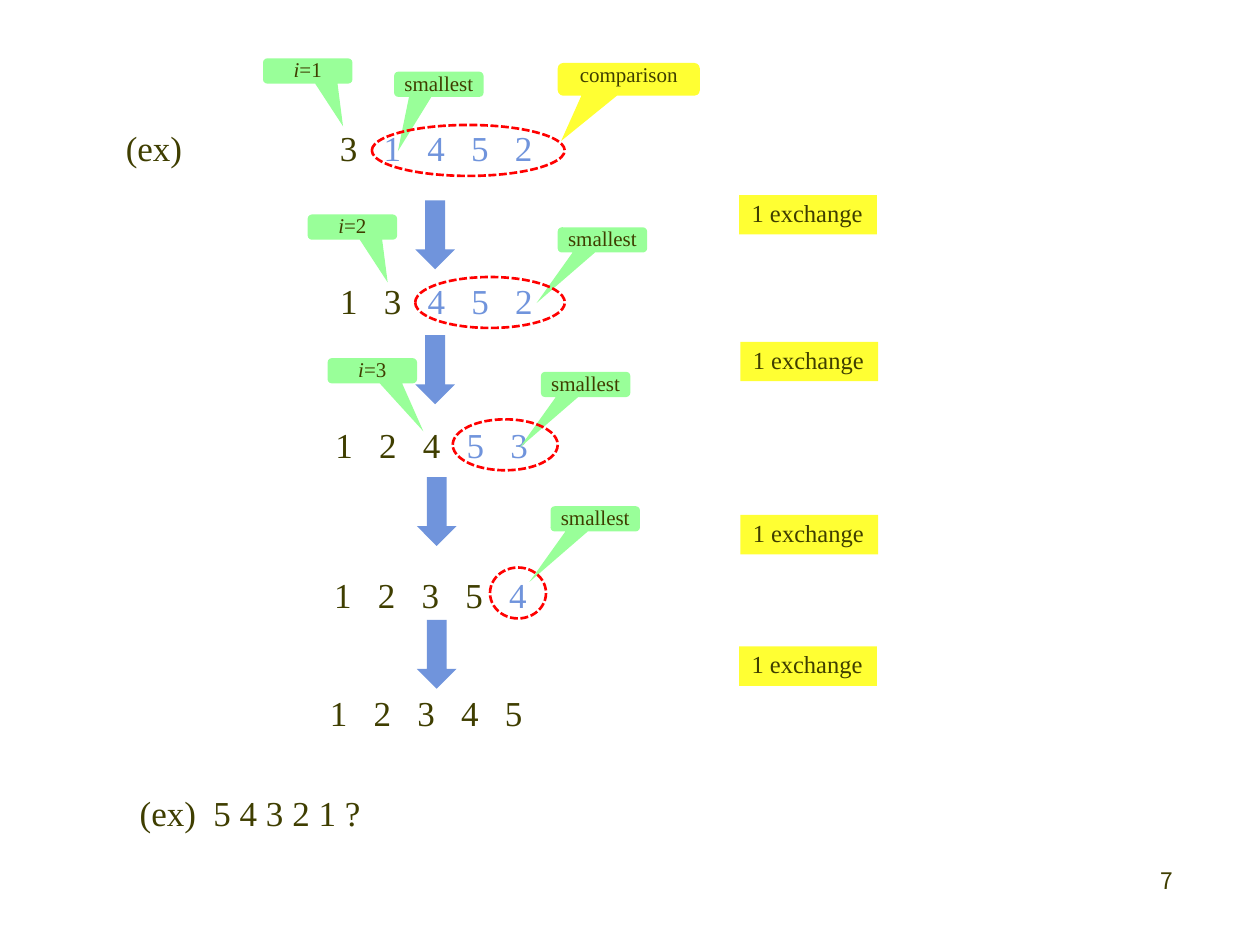
import pptx
import pptx.dml.color
import pptx.enum.dml
import pptx.enum.shapes
import pptx.enum.text
import pptx.oxml.ns
import pptx.util
from lxml import etree

Pt = pptx.util.Pt
RGBColor = pptx.dml.color.RGBColor
SHAPE = pptx.enum.shapes.MSO_SHAPE
ALIGN = pptx.enum.text.PP_ALIGN

INK = RGBColor(0x3F, 0x3E, 0x00)
BLUE = RGBColor(0x70, 0x94, 0xDC)
GREEN = RGBColor(0x99, 0xFF, 0x99)
YELLOW = RGBColor(0xFF, 0xFF, 0x33)
RED = RGBColor(0xFF, 0x00, 0x00)
SERIF = "Times New Roman"
DIGIT_PITCH = 25

deck = pptx.Presentation()
deck.slide_width, deck.slide_height = Pt(720), Pt(540)
page = deck.slides.add_slide(deck.slide_layouts[6])


def write(box, text, tail="", size=20, font=SERIF, tail_color=INK, italic=False,
          align=ALIGN.LEFT, spacing=0.9, inset=None, wrap=True, tabs=()):
    """Fill the box with one paragraph; italic covers text only, not its tail."""
    frame = box.text_frame
    frame.word_wrap = wrap
    frame.vertical_anchor = pptx.enum.text.MSO_ANCHOR.TOP
    if inset is not None:
        frame.margin_left = frame.margin_right = Pt(inset)
        frame.margin_top = frame.margin_bottom = Pt(inset)
    para = frame.paragraphs[0]
    if tabs:
        qn = pptx.oxml.ns.qn
        stops = etree.SubElement(para._p.get_or_add_pPr(), qn("a:tabLst"))
        for stop in tabs:
            etree.SubElement(stops, qn("a:tab"), pos=str(Pt(stop)), algn="l")
    para.alignment = align
    para.line_spacing = spacing
    for words, color, slanted in ((text, INK, italic), (tail, tail_color, False)):
        if words:
            span = para.add_run()
            span.text = words
            span.font.name = font
            span.font.size = Pt(size)
            span.font.color.rgb = color
            span.font.italic = slanted


def add_filled(kind, left, top, width, height, fill=None):
    shape = page.shapes.add_shape(kind, Pt(left), Pt(top), Pt(width), Pt(height))
    shape.shadow.inherit = False
    shape.line.fill.background()
    if fill is None:
        shape.fill.background()
    else:
        shape.fill.solid()
        shape.fill.fore_color.rgb = fill
    return shape


# Slide number
number = page.shapes.add_textbox(Pt(527.8), Pt(491.8), Pt(149.8), Pt(36))
write(number, "7", size=13, font="Noto Sans CJK KR", align=ALIGN.RIGHT, spacing=1.0)

# Array after each step: sorted digits in ink, unsorted digits in blue
digit_stops = [DIGIT_PITCH * n for n in range(1, 5)]
for left, top, done, rest in (
    (187.2, 159.1, "13", "452"),
    (184.6, 241.2, "124", "53"),
    (183.8, 326.9, "1235", "4"),
    (181.4, 394.6, "12345", ""),
):
    box = page.shapes.add_textbox(Pt(left), Pt(top), Pt(135), Pt(28.8))
    gap = "\t" if rest else ""
    write(box, "\t".join(done) + gap, "\t".join(rest), tail_color=BLUE, tabs=digit_stops)

# Example lines
first = page.shapes.add_textbox(Pt(64.8), Pt(71.3), Pt(254.2), Pt(28.8))
write(first, "(ex)\t3\t", "\t".join("1452"), tail_color=BLUE,
      tabs=[122.4 + DIGIT_PITCH * n for n in range(5)])
question = page.shapes.add_textbox(Pt(72.7), Pt(451.4), Pt(150), Pt(28.8))
write(question, "(ex)\t5 4 3 2 1 ?", tabs=[42.2])

# Callouts: left, top, width, height, fill, pointer, text, tail
for left, top, width, height, fill, pointer, text, tail in (
    (225.2, 41, 51.1, 14.4, GREEN, (-0.458, 2.661), "smallest", ""),
    (150.3, 33.4, 51.1, 14.4, GREEN, (0.395, 2.195), "i", "=1"),
    (318.7, 129.9, 51.1, 14.4, GREEN, (-0.737, 2.506), "smallest", ""),
    (175.8, 122.6, 51.1, 14.4, GREEN, (0.395, 2.195), "i", "=2"),
    (309.1, 212.5, 51.1, 14.4, GREEN, (-0.737, 2.506), "smallest", ""),
    (187.2, 204.7, 51.1, 14.4, GREEN, (0.571, 2.402), "i", "=3"),
    (314.6, 289.3, 51.1, 14.4, GREEN, (-0.737, 2.506), "smallest", ""),
    (318.7, 36, 81.2, 18.7, YELLOW, (-0.476, 1.884), "comparison", ""),
):
    callout = add_filled(SHAPE.ROUNDED_RECTANGULAR_CALLOUT, left, top, width, height, fill)
    callout.adjustments[0], callout.adjustments[1] = pointer
    write(callout, text, tail, size=12, italic=bool(tail), align=ALIGN.CENTER, inset=0)

# Exchange counts
for left, top in ((422.4, 111.5), (423.1, 195.4), (423.1, 294.3), (422.4, 369.4)):
    label = add_filled(SHAPE.RECTANGLE, left, top, 78.7, 22.5, YELLOW)
    write(label, "1 exchange", size=14, wrap=False)

# Arrows between steps
for left, top in ((237.3, 114.5), (237.3, 191.6), (238.2, 272.6), (238.2, 354.2)):
    add_filled(SHAPE.DOWN_ARROW, left, top, 22.7, 39.4, BLUE)

# Dashed rings around the unsorted digits
for left, top, width in (
    (212.5, 71.4, 110.2), (237.3, 158.3, 85.5), (258.7, 239.6, 60), (280, 324.3, 32),
):
    ring = add_filled(SHAPE.OVAL, left, top, width, 29.1)
    ring.line.color.rgb = RED
    ring.line.width = Pt(1.5)
    ring.line.dash_style = pptx.enum.dml.MSO_LINE.SQUARE_DOT

deck.save("out.pptx")
